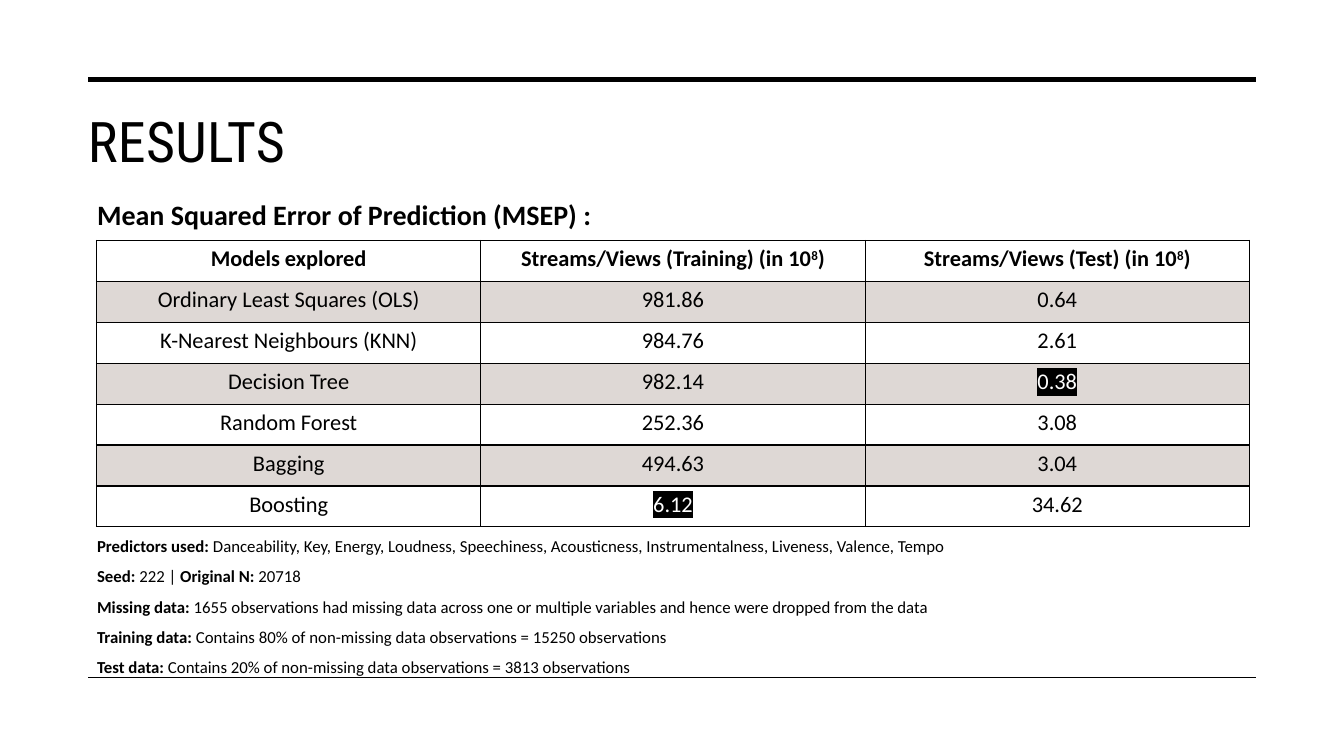
import lxml.etree
import pptx
import pptx.dml.color
import pptx.enum.shapes
import pptx.enum.text
import pptx.oxml.ns
import pptx.util

PX = 9525
COLORS = {"ink": "000000", "paper": "FFFFFF", "band": "DED8D5"}
ALIGN = pptx.enum.text.PP_ALIGN

HEADER = [
    [("Models explored", {})],
    [("Streams/Views (Training) (in 10", {}), ("8", {"raised": True}), (")", {})],
    [("Streams/Views (Test) (in 10", {}), ("8", {"raised": True}), (")", {})],
]
RESULTS = [
    ("Ordinary Least Squares (OLS)", "981.86", "0.64"),
    ("K-Nearest Neighbours (KNN)", "984.76", "2.61"),
    ("Decision Tree", "982.14", "0.38"),
    ("Random Forest", "252.36", "3.08"),
    ("Bagging", "494.63", "3.04"),
    ("Boosting", "6.12", "34.62"),
]
BEST = {"0.38", "6.12"}
BOLD = {"bold": True}
NOTES = [
    [("Predictors used: ", BOLD),
     ("Danceability, Key, Energy, Loudness, Speechiness, Acousticness, "
      "Instrumentalness, Liveness, Valence, Tempo", {})],
    [("Seed:", BOLD), (" 222 | ", {}), ("Original N:", BOLD), (" 20718", {})],
    [("Missing data:", BOLD),
     (" 1655 observations had missing data across one or multiple variables "
      "and hence were dropped from the data", {})],
    [("Training data:", BOLD),
     (" Contains 80% of non-missing data observations = 15250 observations", {})],
    [("Test data:", BOLD),
     (" Contains 20% of non-missing data observations = 3813 observations", {})],
]


def rgb(name):
    return pptx.dml.color.RGBColor.from_string(COLORS[name])


def add_solid_color(parent, tag, name):
    """Append an XML element holding one of the named colours."""
    holder = lxml.etree.SubElement(parent, pptx.oxml.ns.qn(tag))
    lxml.etree.SubElement(holder, pptx.oxml.ns.qn("a:srgbClr"), val=COLORS[name])
    return holder


def add_text(para, text, size=16, font="Calibri", color="ink", bold=False,
             raised=False, spacing=None, highlight=None):
    span = para.add_run()
    span.text = text
    span.font.size = pptx.util.Pt(size)
    span.font.bold = bold
    span.font.color.rgb = rgb(color)
    properties = span.font._element if hasattr(span.font, "_element") else span._r.get_or_add_rPr()
    if raised:
        properties.set("baseline", "30000")
    if spacing is not None:
        properties.set("spc", str(round(spacing * 100)))
    if highlight:
        add_solid_color(properties, "a:highlight", highlight)
    span.font.name = font


class ResultsSlide:
    def __init__(self, deck):
        self.slide = deck.slides.add_slide(deck.slide_layouts[5])

    def rule(self, left, right, y, weight):
        line = self.slide.shapes.add_connector(
            pptx.enum.shapes.MSO_CONNECTOR.STRAIGHT,
            left * PX, y * PX, right * PX, y * PX)
        line.line.color.rgb = rgb("ink")
        line.line.width = pptx.util.Pt(weight)
        lxml.etree.SubElement(line._element.spPr, pptx.oxml.ns.qn("a:effectLst"))

    def title(self, text, left, top, width, height):
        box = self.slide.shapes.title
        box.left, box.top, box.width, box.height = (
            side * PX for side in (left, top, width, height))
        frame = box.text_frame
        frame.vertical_anchor = pptx.enum.text.MSO_ANCHOR.TOP
        frame.auto_size = pptx.enum.text.MSO_AUTO_SIZE.NONE
        para = frame.paragraphs[0]
        para.alignment = ALIGN.LEFT
        add_text(para, text, size=40, font="Roboto Condensed", spacing=0.3)

    def text_box(self, lines, left, top, width, height, size, line_spacing=1.0):
        box = self.slide.shapes.add_textbox(
            left * PX, top * PX, width * PX, height * PX)
        frame = box.text_frame
        frame.word_wrap = True
        for index, spans in enumerate(lines):
            para = frame.add_paragraph() if index else frame.paragraphs[0]
            para.line_spacing = line_spacing
            for text, style in spans:
                add_text(para, text, size=size, **style)

    def cell(self, cell, spans, fill, bold):
        properties = cell._tc.get_or_add_tcPr()
        for side in "LRTB":
            border = lxml.etree.SubElement(
                properties, pptx.oxml.ns.qn(f"a:ln{side}"), w="12700")
            add_solid_color(border, "a:solidFill", "ink")
        cell.fill.solid()
        cell.fill.fore_color.rgb = rgb(fill)
        para = cell.text_frame.paragraphs[0]
        para.alignment = ALIGN.CENTER
        for text, style in spans:
            add_text(para, text, bold=bold, **style)

    def table(self, header, records, left, top, column_width, row_height):
        rows, columns = len(records) + 1, len(header)
        table = self.slide.shapes.add_table(
            rows, columns, left * PX, top * PX,
            columns * column_width * PX, rows * row_height * PX).table
        for column in table.columns:
            column.width = column_width * PX
        marked = {"color": "paper", "highlight": "ink"}
        body = [[[(text, marked if text in BEST else {})] for text in record]
                for record in records]
        for r, record in enumerate([header] + body):
            table.rows[r].height = row_height * PX
            for c, spans in enumerate(record):
                self.cell(table.cell(r, c), spans,
                          fill="band" if r % 2 else "paper", bold=r == 0)


def main():
    deck = pptx.Presentation()
    deck.slide_width, deck.slide_height = 1280 * PX, 720 * PX
    page = ResultsSlide(deck)
    page.rule(84, 1196, y=76, weight=3.5)
    page.rule(84, 1196, y=645, weight=1)
    page.title("RESULTS", 74, 97, 1122, 144)
    page.text_box(NOTES, 83, 496, 1103, 152, size=12, line_spacing=1.5)
    page.table(HEADER, RESULTS, 92, 229, column_width=366, row_height=39)
    page.text_box([[("Mean Squared Error of Prediction (MSEP) :", BOLD)]],
                  83, 183, 1103, 42, size=20)
    deck.save("out.pptx")


if __name__ == "__main__":
    main()
